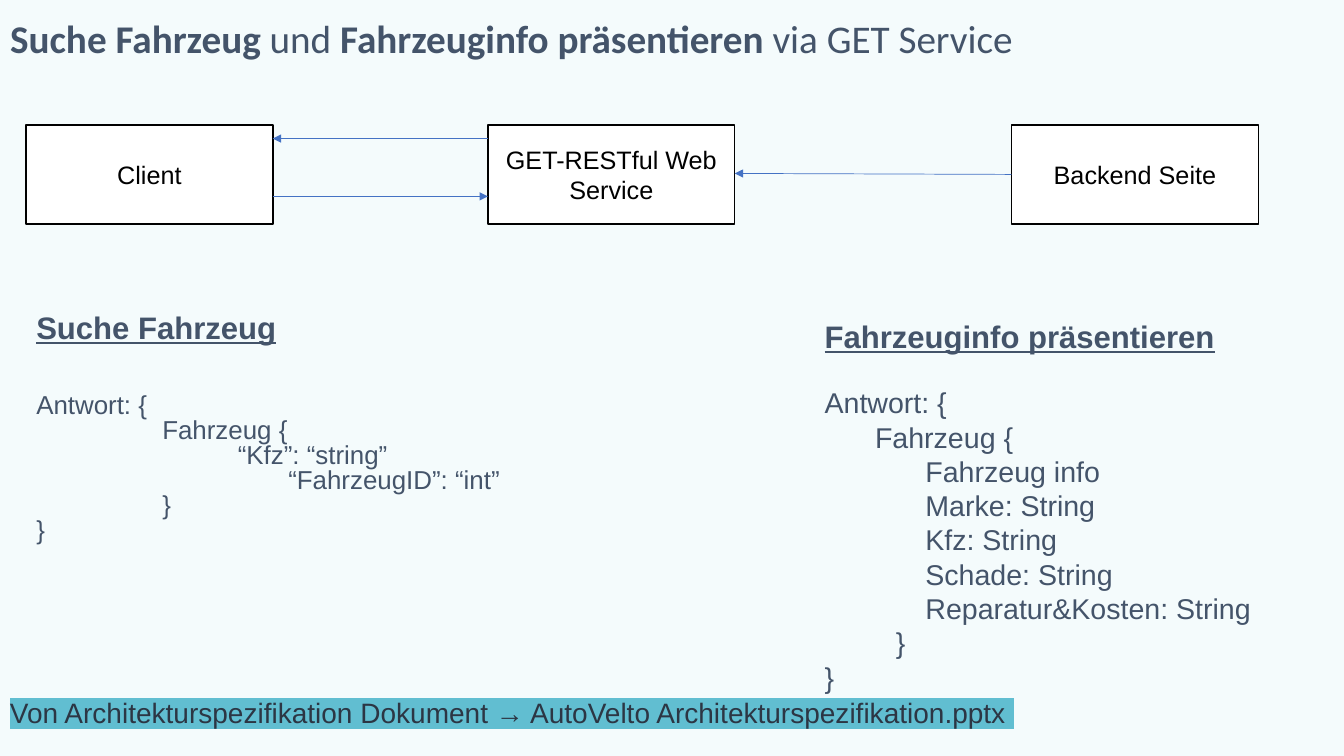
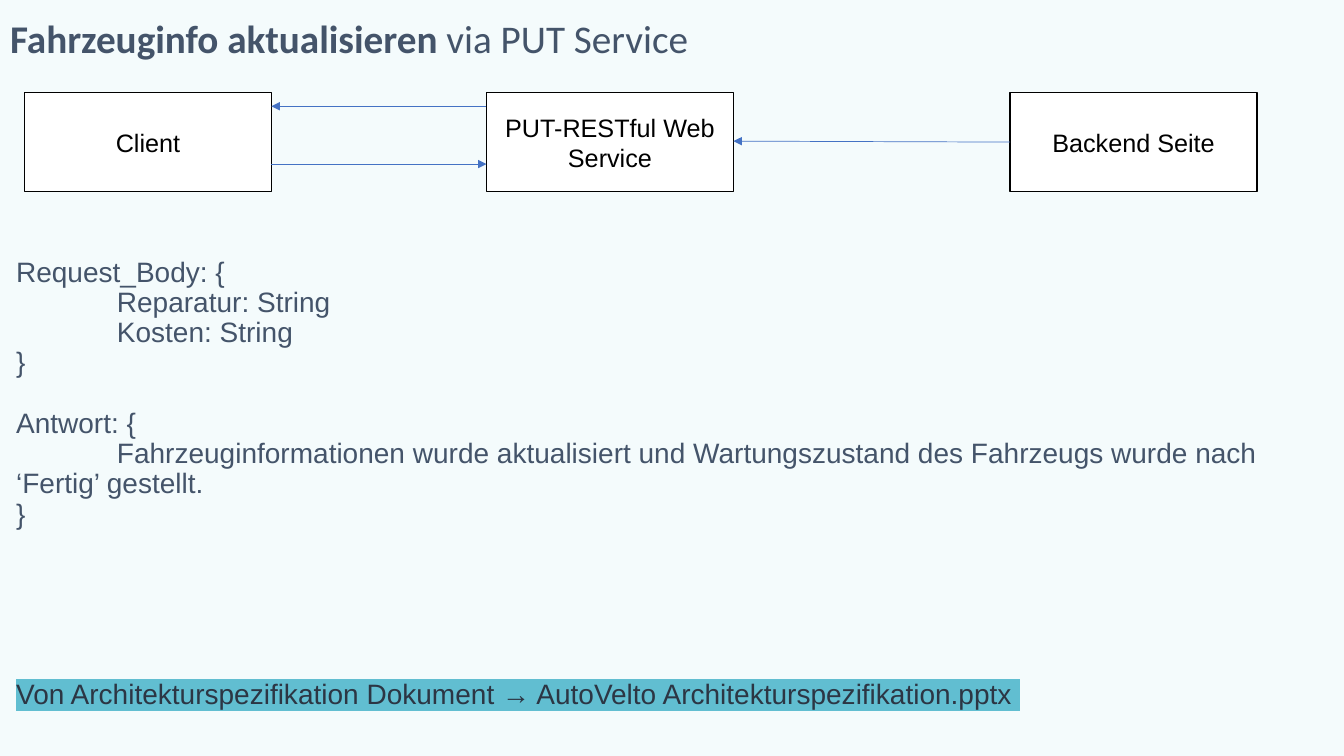
"""Build two slides on the GET and PUT services of a vehicle workshop."""
from lxml.etree import SubElement
from pptx import Presentation
from pptx.dml.color import RGBColor
from pptx.enum.shapes import MSO_CONNECTOR as Connector, MSO_SHAPE as Shape
from pptx.enum.text import MSO_ANCHOR as Anchor, MSO_AUTO_SIZE as AutoSize, PP_ALIGN as Align
from pptx.oxml.ns import qn
from pptx.util import Pt

BACKGROUND = RGBColor(0xF4, 0xFB, 0xFC)
SLATE = RGBColor(0x44, 0x54, 0x6A)
DARK = RGBColor(0x2C, 0x36, 0x44)
TEAL = RGBColor(0x61, 0xBE, 0xD1)
BLUE = RGBColor(0x44, 0x72, 0xC4)
BLACK = RGBColor(0, 0, 0)
WHITE = RGBColor(0xFF, 0xFF, 0xFF)

SOURCE_NOTE = "Von Architekturspezifikation Dokument → AutoVelto Architekturspezifikation.pptx "
BOX_WIDTH, BOX_HEIGHT = 176.4, 70.6
SERVICE_OFFSET, BACKEND_OFFSET = 330, 704

SLIDES = [
    {
        "layout": 3,
        "title": [("Suche Fahrzeug ", True), ("und ", False),
                  ("Fahrzeuginfo präsentieren ", True), ("via GET Service", False)],
        "service": "GET-RESTful Web Service",
        "diagram": (18.5, 89.3),
        "bodies": [
            {"frame": (18.7, 221.8, 378, 248.4), "size": 18.5, "spacing": 0.8,
             "heading": "Suche Fahrzeug",
             "lines": [("Antwort: {", 0, 35.3), ("Fahrzeug {", 90, 0),
                       ("“Kfz”: “string”", 144, 0), ("“FahrzeugID”: “int”", 180, 0),
                       ("}", 90, 0), ("}", 0, 0)]},
            {"frame": (581.8, 228.2, 378, 274.3), "size": 20.4, "spacing": 1.0,
             "heading": "Fahrzeuginfo präsentieren",
             "lines": [("Antwort: {", 0, 22), ("Fahrzeug {", 36, 0),
                       ("Fahrzeug info", 72, 0), ("Marke: String", 72, 0),
                       ("Kfz: String", 72, 0), ("Schade: String", 72, 0),
                       ("Reparatur&Kosten: String", 72, 0), ("}", 51, 0), ("}", 0, 0)]},
        ],
    },
    {
        "layout": 1,
        "title": [("Fahrzeuginfo aktualisieren ", True), ("via PUT Service", False)],
        "service": "PUT-RESTful Web Service",
        "diagram": (17.5, 66.2),
        "bodies": [
            {"frame": (4.3, 180.7, 951.1, 354.2), "size": 20, "spacing": 0.9,
             "heading": None,
             "lines": [("Request_Body: {", 0, 0), ("Reparatur: String", 72, 0),
                       ("Kosten: String", 72, 0), ("}", 0, 0), ("Antwort: {", 0, 21.5),
                       ("Fahrzeuginformationen wurde aktualisiert und Wartungszustand "
                        "des Fahrzeugs wurde nach ‘Fertig’ gestellt.", 72, 0),
                       ("}", 0, 0), (SOURCE_NOTE, 0, 107.5)]},
        ],
    },
]


def add_run(paragraph, text, size, color, bold=False, font="Arial"):
    run = paragraph.add_run()
    run.text = text
    run.font.name = font
    run.font.size = Pt(size)
    run.font.bold = bold
    run.font.color.rgb = color
    if text == SOURCE_NOTE:
        properties = run._r.get_or_add_rPr()
        highlight = SubElement(properties, qn("a:highlight"))
        SubElement(highlight, qn("a:srgbClr"), val=str(TEAL))
        properties.find(qn("a:solidFill")).addnext(highlight)
    return run


def place(shape, left, top, width, height):
    shape.left, shape.top = Pt(left), Pt(top)
    shape.width, shape.height = Pt(width), Pt(height)
    shape.text_frame.word_wrap = True
    shape.text_frame.auto_size = AutoSize.NONE


presentation = Presentation()
presentation.slide_width, presentation.slide_height = Pt(960), Pt(540)
master_fill = presentation.slide_master.background.fill
master_fill.solid()
master_fill.fore_color.rgb = BACKGROUND

for content in SLIDES:
    slide = presentation.slides.add_slide(presentation.slide_layouts[content["layout"]])
    title, *bodies = slide.placeholders

    place(title, 0, 1.4, 960, 55.4)
    title.text_frame.vertical_anchor = Anchor.MIDDLE
    paragraph = title.text_frame.paragraphs[0]
    paragraph.alignment = Align.LEFT
    paragraph.line_spacing = 0.9
    for text, bold in content["title"]:
        add_run(paragraph, text, 28, SLATE, bold, "Calibri")

    for body, block in zip(bodies, content["bodies"]):
        place(body, *block["frame"])
        heading = block["heading"]
        lines = [(heading, 0, 0)] * bool(heading) + block["lines"]
        for index, (text, indent, gap) in enumerate(lines):
            paragraph = body.text_frame.add_paragraph() if index else body.text_frame.paragraphs[0]
            paragraph.line_spacing = 0.8 if text == heading else block["spacing"]
            paragraph.space_before = Pt(gap)
            properties = paragraph._p.get_or_add_pPr()
            properties.set("marL", "0")
            properties.set("indent", str(Pt(indent)))
            SubElement(properties, qn("a:buNone"))
            if text == heading:
                add_run(paragraph, text, 22.2, SLATE, True).font.underline = True
            else:
                add_run(paragraph, text, block["size"], DARK if text == SOURCE_NOTE else SLATE)

    left, top = content["diagram"]
    service_left, backend_left = left + SERVICE_OFFSET, left + BACKEND_OFFSET
    for box_left, label in ((left, "Client"), (service_left, content["service"]),
                            (backend_left, "Backend Seite")):
        box = slide.shapes.add_shape(Shape.RECTANGLE, 0, 0, 0, 0)
        place(box, box_left, top, BOX_WIDTH, BOX_HEIGHT)
        box.shadow.inherit = False
        box.fill.solid()
        box.fill.fore_color.rgb = WHITE
        box.line.color.rgb = BLACK
        box.line.width = Pt(1)
        box.text_frame.vertical_anchor = Anchor.MIDDLE
        paragraph = box.text_frame.paragraphs[0]
        paragraph.alignment = Align.CENTER
        add_run(paragraph, label, 18, BLACK)

    client_right, service_right = left + BOX_WIDTH, service_left + BOX_WIDTH
    for start, start_drop, end, end_drop in ((service_left, 9.7, client_right, 9.7),
                                             (client_right, 51, service_left, 51),
                                             (backend_left, 35.3, service_right, 34.6)):
        arrow = slide.shapes.add_connector(Connector.STRAIGHT, Pt(start), Pt(top + start_drop),
                                           Pt(end), Pt(top + end_drop))
        arrow.line.color.rgb = BLUE
        arrow.line.width = Pt(0.5)
        properties = arrow._element.spPr
        SubElement(properties.find(qn("a:ln")), qn("a:tailEnd"), type="triangle")
        SubElement(properties, qn("a:effectLst"))

    if content is SLIDES[0]:
        note = slide.shapes.add_textbox(0, 0, 0, 0)
        place(note, 0, 493.2, 916.6, 31.7)
        add_run(note.text_frame.paragraphs[0], SOURCE_NOTE, 20, DARK)

presentation.save("out.pptx")
